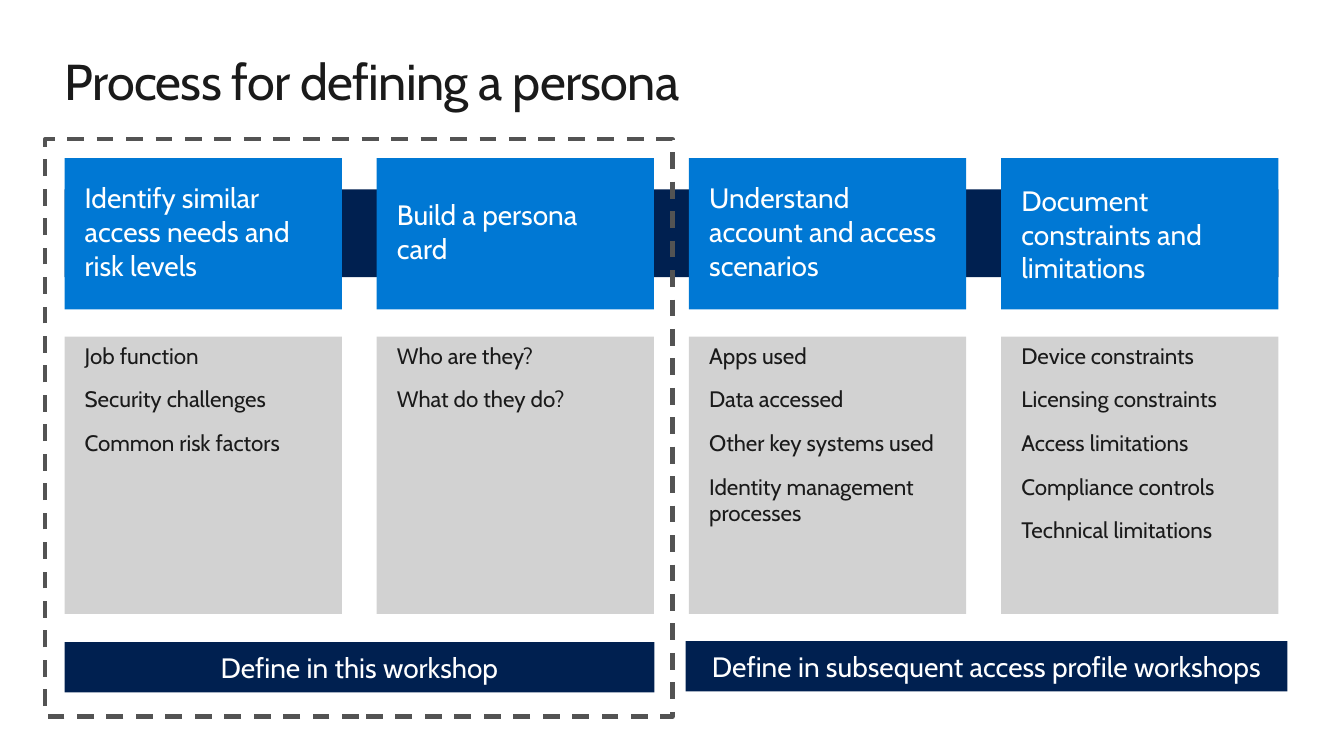
from pptx import Presentation
from pptx.dml.color import RGBColor
from pptx.enum.dml import MSO_LINE
from pptx.enum.shapes import MSO_SHAPE
from pptx.enum.text import MSO_ANCHOR, MSO_AUTO_SIZE, PP_ALIGN
from pptx.util import Inches, Pt

# Content
TITLE = "Process for defining a persona"
# Heading, heading top inset, details
STEPS = [
    ("Identify similar access needs and risk levels", 0,
     ["Job function", "Security challenges", "Common risk factors"]),
    ("Build a persona card", 0,
     ["Who are they?", "What do they do?"]),
    ("Understand account and access scenarios", 0,
     ["Apps used", "Data accessed", "Other key systems used",
      "Identity management processes"]),
    ("Document constraints and limitations", 0.05,
     ["Device constraints", "Licensing constraints", "Access limitations",
      "Compliance controls", "Technical limitations"]),
]
# Label, left, top, width, height
WORKSHOPS = [
    ("Define in this workshop", 0.64, 6.37, 5.85, 0.5),
    ("Define in subsequent access profile workshops", 6.8, 6.36, 5.97, 0.5),
]

# Style and grid
FONT = "Cabin"
NAVY, BLUE, GRAY = "002050", "0078D4", "D2D2D2"
INK, WHITE, DASH = "1A1A1A", "FFFFFF", "535353"
LEFT, FULL_WIDTH, STEP_WIDTH = 0.64, 12.04, 2.75
PITCH = (FULL_WIDTH - STEP_WIDTH) / (len(STEPS) - 1)


def rgb(color):
    return RGBColor.from_string(color)


def write(shape, lines, size, color, insets, anchor=MSO_ANCHOR.TOP,
          align=PP_ALIGN.LEFT, gap=0):
    frame = shape.text_frame
    frame.word_wrap = True
    frame.auto_size = MSO_AUTO_SIZE.NONE
    frame.vertical_anchor = anchor
    (frame.margin_left, frame.margin_top,
     frame.margin_right, frame.margin_bottom) = map(Inches, insets)
    frame.text = "\n".join(lines)
    for paragraph in frame.paragraphs:
        paragraph.alignment = align
        paragraph.line_spacing = 1.0
        paragraph.space_before = paragraph.space_after = Pt(gap)
        for run in paragraph.runs:
            run.font.name = FONT
            run.font.size = Pt(size)
            run.font.color.rgb = rgb(color)


def add_box(left, top, width, height, fill=None):
    shape = slide.shapes.add_shape(
        MSO_SHAPE.RECTANGLE, *map(Inches, (left, top, width, height)))
    shape.shadow.inherit = False
    shape.line.fill.background()
    if fill:
        shape.fill.solid()
        shape.fill.fore_color.rgb = rgb(fill)
    else:
        shape.fill.background()
    return shape


presentation = Presentation()
presentation.slide_width = Inches(13.33)
presentation.slide_height = Inches(7.5)
slide = presentation.slides.add_slide(presentation.slide_layouts[5])

# Title
title = slide.shapes.title
title.left, title.top, title.width, title.height = map(
    Inches, (LEFT, 0.5, 12.06, 0.61))
write(title, [TITLE], 36, INK, (0, 0, 0, 0))
for run in title.text_frame.paragraphs[0].runs:
    run.font._element.set("spc", "-50")

# Band joining the steps, and dashed frame around this workshop
add_box(LEFT, 1.88, FULL_WIDTH, 0.87, NAVY)
scope = add_box(0.45, 1.38, 6.22, 5.73)
scope.line.color.rgb = rgb(DASH)
scope.line.width = Pt(3)
scope.line.dash_style = MSO_LINE.DASH

# Steps with their details
for index, (heading, top_inset, details) in enumerate(STEPS):
    left = LEFT + index * PITCH
    write(add_box(left, 1.57, STEP_WIDTH, 1.5, BLUE), [heading], 20, WHITE,
          (0.2, top_inset, 0.2, 0.05), MSO_ANCHOR.MIDDLE)
    write(add_box(left, 3.34, STEP_WIDTH, 2.75, GRAY), details, 16, INK,
          (0.2, 0.05, 0.2, 0.05), gap=6)

# Workshop bars
for label, *place in WORKSHOPS:
    write(add_box(*place, NAVY), [label], 20, WHITE, (0.1, 0.05, 0.1, 0.05),
          MSO_ANCHOR.MIDDLE, PP_ALIGN.CENTER)

presentation.save("out.pptx")
